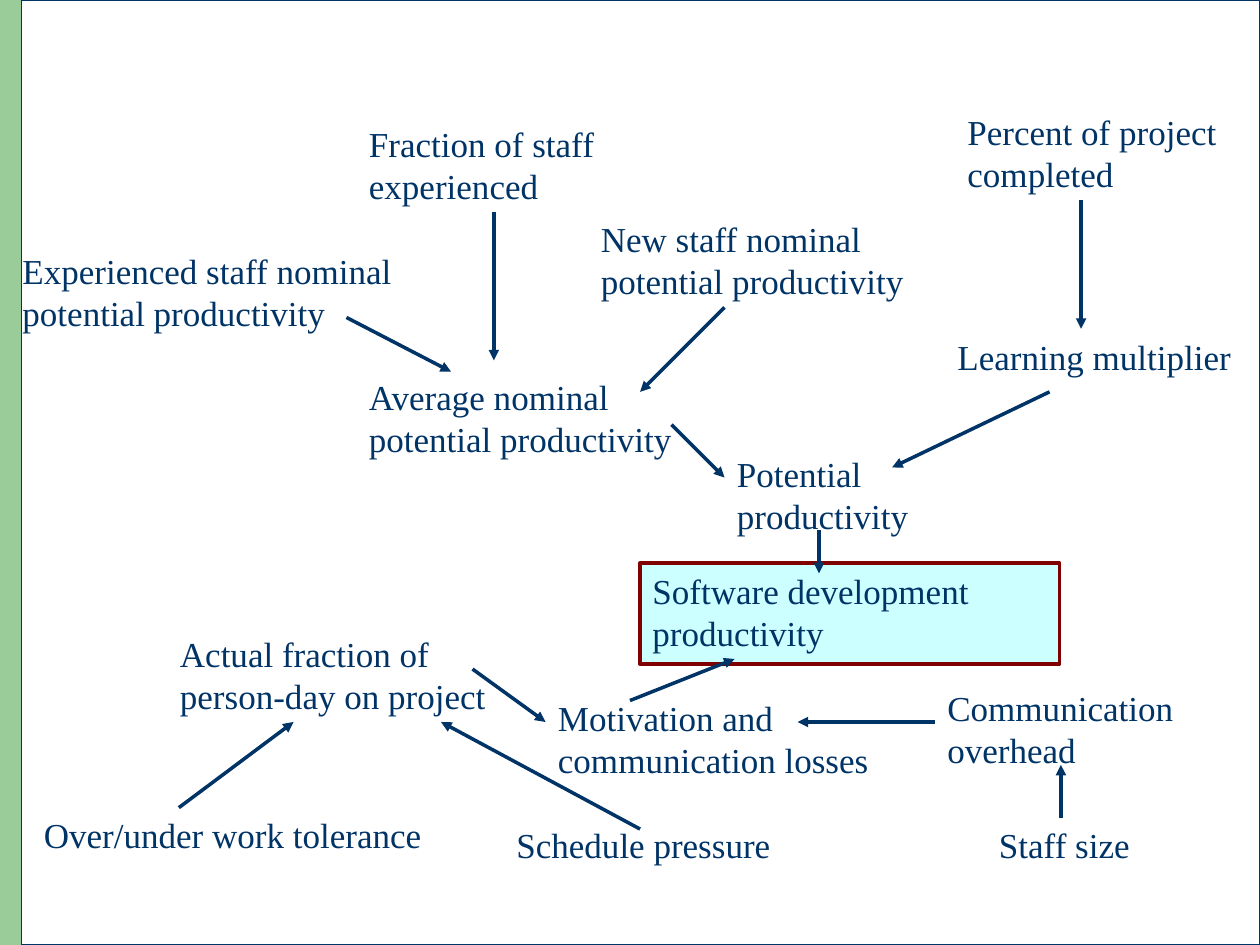
from lxml.etree import SubElement
from pptx import Presentation
from pptx.dml.color import RGBColor
from pptx.enum.shapes import MSO_CONNECTOR as Connector, MSO_SHAPE as Shape
from pptx.enum.text import MSO_ANCHOR as Anchor, PP_ALIGN as Align
from pptx.oxml.ns import qn
from pptx.util import Inches, Pt

NAVY, GREEN, WHITE, CYAN, MAROON = "003366", "99CC99", "FFFFFF", "CCFFFF", "800000"
ONE_LINE, TWO_LINES = 0.43, 0.77

FACTORS = [
    ("Experienced staff nominal potential productivity", 0.08, 1.93, 3.25, TWO_LINES),
    ("Fraction of staff experienced", 2.83, 0.92, 2, TWO_LINES),
    ("New staff nominal potential productivity", 4.67, 1.68, 2.75, TWO_LINES),
    ("Percent of project completed", 7.58, 0.83, 2.5, TWO_LINES),
    ("Average nominal potential productivity", 2.83, 2.93, 2.67, TWO_LINES),
    ("Learning multiplier", 7.5, 2.61, 2.58, ONE_LINE),
    ("Potential productivity", 5.75, 3.54, 1.67, TWO_LINES),
    ("Actual fraction of person-day on project", 1.33, 4.97, 2.67, TWO_LINES),
    ("Motivation and communication losses", 4.33, 5.48, 2.83, TWO_LINES),
    ("Communication overhead", 7.42, 5.4, 2.25, TWO_LINES),
    ("Over/under work tolerance", 0.25, 6.41, 3.33, ONE_LINE),
    ("Schedule pressure", 4, 6.49, 2.25, ONE_LINE),
    ("Staff size", 7.83, 6.49, 1.25, ONE_LINE),
]
OUTCOME = ("Software development productivity", 5.08, 4.47, 3.33, 0.8)
INFLUENCES = [
    (2.75, 2.52, 3.58, 2.95),
    (3.92, 1.68, 3.92, 2.86),
    (5.75, 2.44, 5.08, 3.11),
    (5.33, 3.37, 5.75, 3.79),
    (8.58, 1.59, 8.58, 2.61),
    (8.33, 3.11, 7.08, 3.71),
    (6.5, 4.21, 6.5, 4.55),
    (3.75, 5.31, 4.33, 5.73),
    (5, 5.56, 5.83, 5.23),
    (7.42, 5.73, 6.33, 5.73),
    (1.42, 6.41, 2.33, 5.73),
    (5.08, 6.58, 3.5, 5.73),
    (8.42, 6.49, 8.42, 6.07),
]


def color(hex_code):
    return RGBColor.from_string(hex_code)


def add_panel(slide, left, top, width, height, fill, line=None, weight=0.75):
    panel = slide.shapes.add_shape(
        Shape.RECTANGLE, Inches(left), Inches(top), Inches(width), Inches(height))
    panel.shadow.inherit = False
    panel.fill.solid()
    panel.fill.fore_color.rgb = color(fill)
    if line:
        panel.line.color.rgb = color(line)
        panel.line.width = Pt(weight)
    else:
        panel.line.fill.background()
    return panel


def write_label(holder, wording):
    frame = holder.text_frame
    frame.word_wrap = True
    frame.vertical_anchor = Anchor.TOP
    frame.text = wording
    paragraph = frame.paragraphs[0]
    paragraph.alignment = Align.LEFT
    paragraph.line_spacing = Pt(24)
    font = paragraph.runs[0].font
    font.name = "Times New Roman"
    font.size = Pt(20)
    font.color.rgb = color(NAVY)


def add_influence(slide, x1, y1, x2, y2):
    arrow = slide.shapes.add_connector(
        Connector.STRAIGHT, Inches(x1), Inches(y1), Inches(x2), Inches(y2))
    arrow.line.color.rgb = color(NAVY)
    arrow.line.width = Pt(2)
    SubElement(arrow.line._get_or_add_ln(), qn("a:tailEnd"), type="triangle")
    SubElement(arrow._element.spPr, qn("a:effectLst"))


def add_backdrop(slide, left, top, width, height, stripe=0.17):
    add_panel(slide, left, top, stripe, height, GREEN)
    add_panel(slide, left + stripe, top, width - stripe, height, WHITE, NAVY)


def add_influence_diagram(slide, left, top):
    for wording, x, y, width, height in FACTORS:
        label = slide.shapes.add_textbox(
            Inches(left + x), Inches(top + y), Inches(width), Inches(height))
        write_label(label, wording)
    wording, x, y, width, height = OUTCOME
    write_label(add_panel(slide, left + x, top + y, width, height, CYAN, MAROON, 2), wording)
    for x1, y1, x2, y2 in INFLUENCES:
        add_influence(slide, left + x1, top + y1, left + x2, top + y2)


deck = Presentation()
deck.slide_width, deck.slide_height = Inches(10), Inches(7.5)
productivity = deck.slides.add_slide(deck.slide_layouts[6])
add_backdrop(productivity, 0, 0, 10, 7.5)
add_influence_diagram(productivity, 0, 0)
deck.save("out.pptx")
